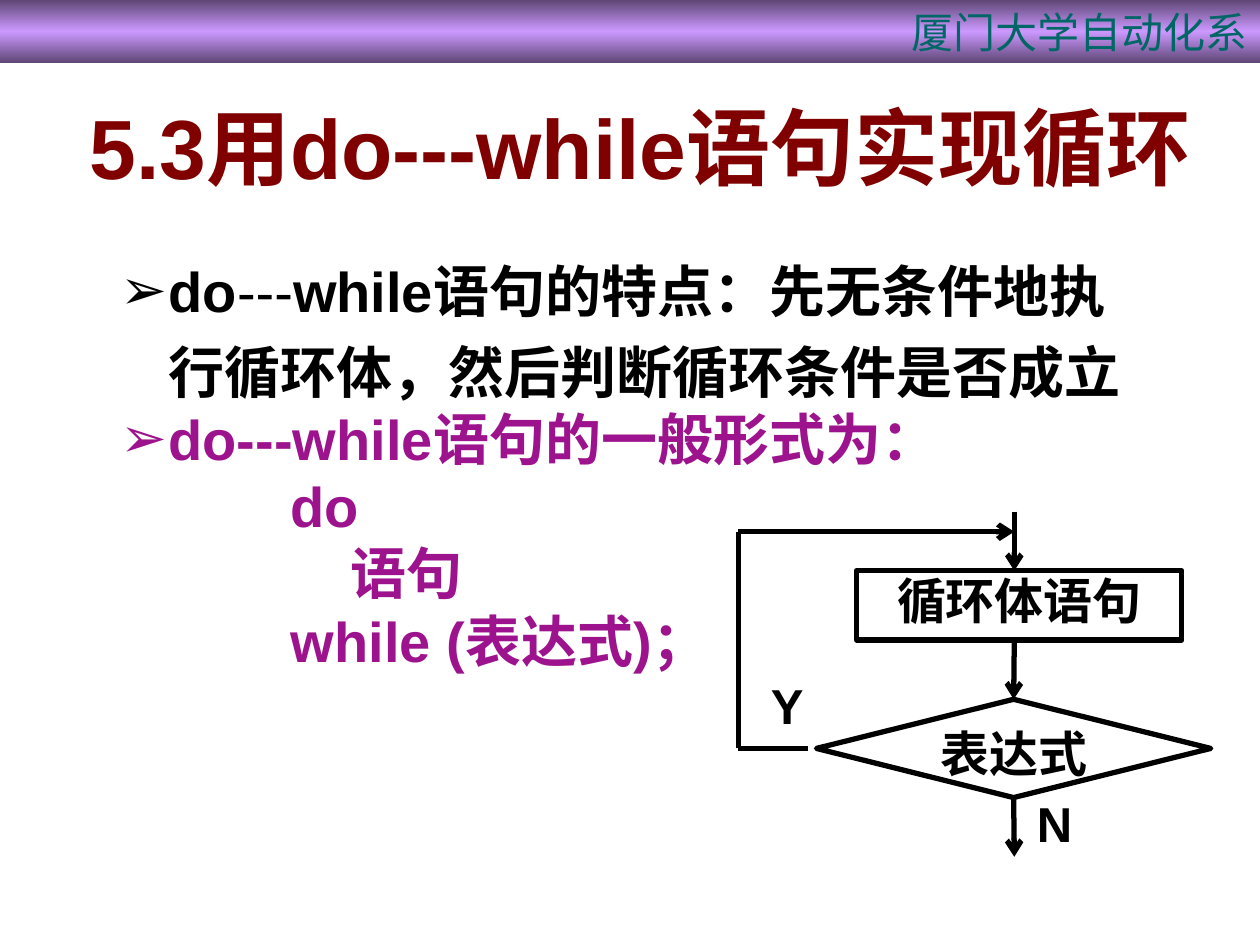
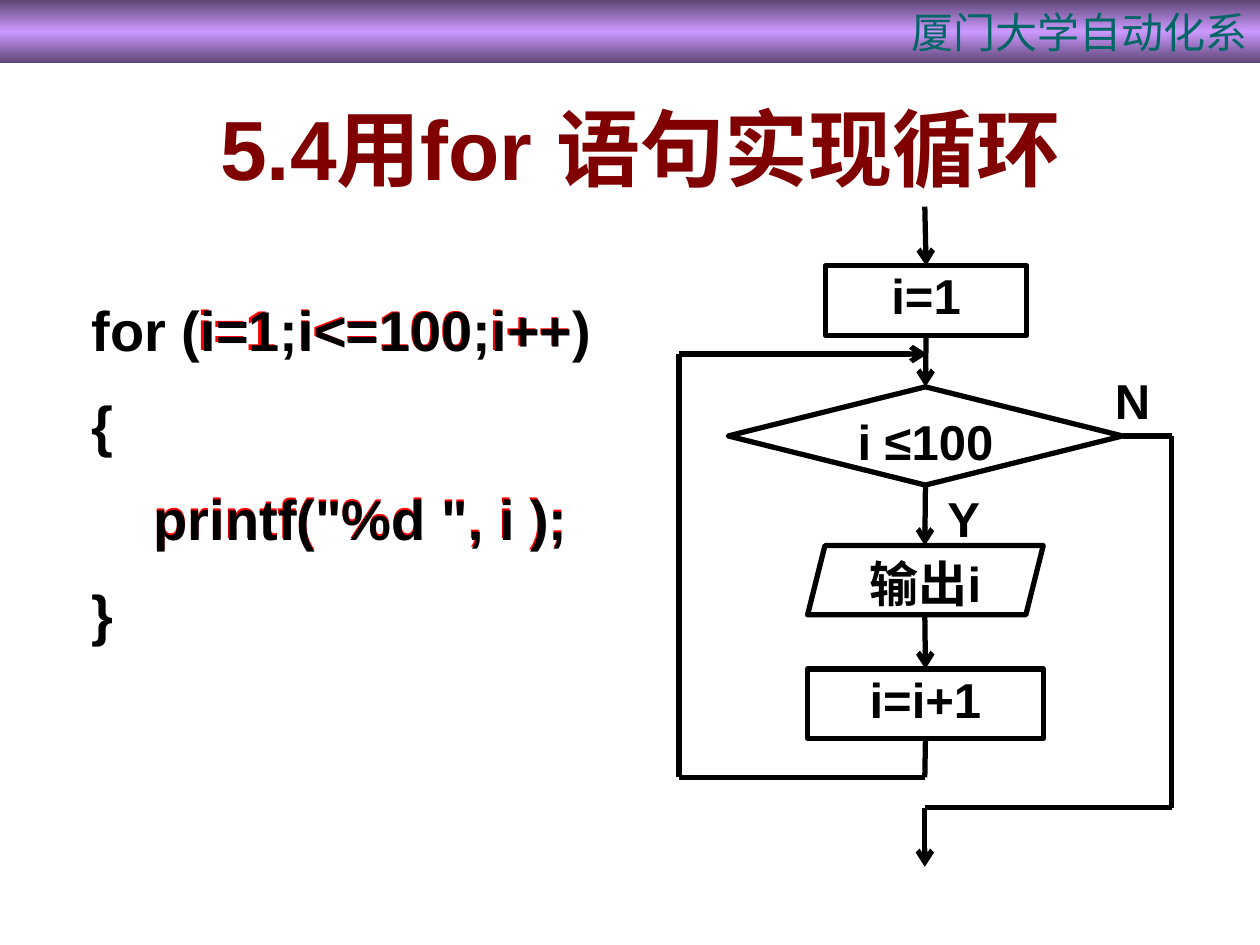
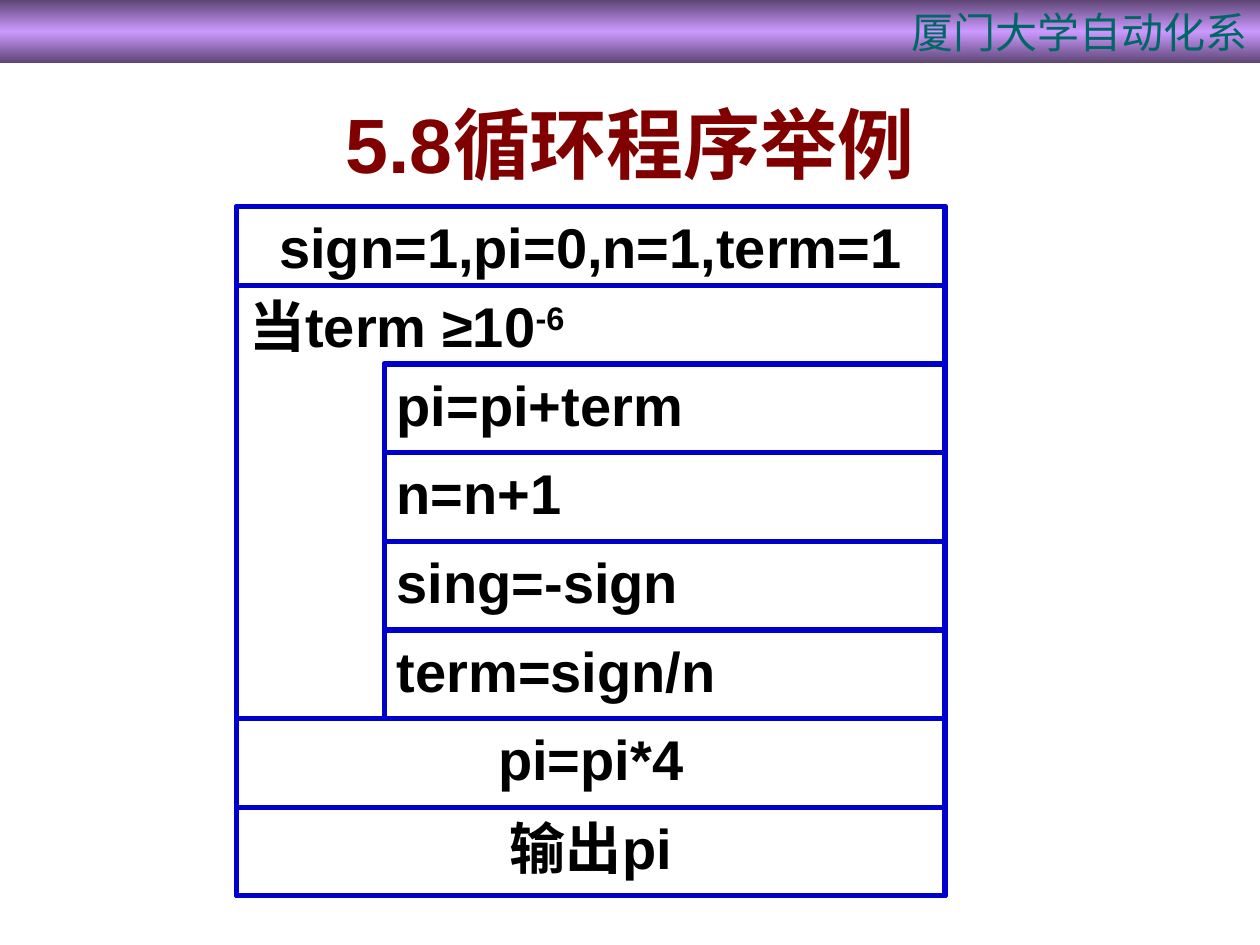
from copy import deepcopy
from lxml.etree import SubElement
from pptx import Presentation
from pptx.dml.color import RGBColor
from pptx.enum.shapes import MSO_CONNECTOR, MSO_SHAPE
from pptx.enum.text import MSO_ANCHOR, PP_ALIGN
from pptx.oxml.ns import qn
from pptx.util import Inches, Pt

FONT = "Arial"
BLACK, RED, PURPLE, BLUE, WHITE = "000000", "FF0000", "9D138D", "0000CC", "FFFFFF"
MAROON, TEAL, DARK, LILAC = "800000", "006666", "5E4675", "CC99FF"
BAND = "厦门大学自动化系"
KINDS = {
    "box": MSO_SHAPE.FLOWCHART_PROCESS,
    "test": MSO_SHAPE.FLOWCHART_DECISION,
    "data": MSO_SHAPE.PARALLELOGRAM,
    "rect": MSO_SHAPE.RECTANGLE,
}
ALIGN = {"l": PP_ALIGN.LEFT, "c": PP_ALIGN.CENTER, "r": PP_ALIGN.RIGHT}
CODE = {"size": 32, "lead": 1.2, "hang": 0.38}
FORM = {"size": 32, "color": PURPLE}

DO = {
    "title": ("5.3用do---while语句实现循环", (0.47, 0.31, 9.22, 1.7), 48),
    "texts": [
        ((0.86, 1.88, 8.44, 3.91), [
            ([("do", {}), ("---", {"bold": False}),
              ("while语句的特点：先无条件地执行循环体，然后判断循环条件是否成立", {})],
             {**CODE, "mark": "➢"}),
            ("do---while语句的一般形式为：", {**FORM, "hang": 0.38, "mark": "➢"}),
            ("do", {**FORM, "left": 1.35}),
            ("语句", {**FORM, "left": 1.82}),
            ("while (表达式)；", {**FORM, "left": 1.35}),
        ]),
        ((6.02, 5.31, 0.55, 0.57), [("Y", {})]),
        ((8.13, 6.25, 0.55, 0.57), [("N", {})]),
    ],
    "nodes": {
        "test": ("test", "表达式", (6.48, 5.55, 3.13, 0.78)),
        "body": ("box", "循环体语句", (6.8, 4.53, 2.58, 0.55)),
    },
    "lines": [
        ((8.05, 5.08), (8.05, 5.55), True, None, ("test", 0)),
        ((6.41, 5.94), (5.86, 5.94), False, None, None),
        ((8.05, 4.06), (8.05, 4.53), True, None, None),
        ((8.05, 6.33), (8.05, 6.8), True, ("test", 2), None),
        ((5.86, 5.94), (5.86, 4.22), False, None, None),
        ((5.86, 4.22), (8.05, 4.22), True, None, None),
    ],
}

FOR = {
    "title": ("5.4用for 语句实现循环", (0.47, 0.71, 9.22, 0.91), 48),
    "texts": [
        ((1.12, 3.67, 3.67, 0.78), [('printf("%d ", i );', {**CODE, "color": RED})]),
        ((3.79, 2.18, 1.02, 0.78), [("i++", {**CODE, "color": RED})]),
        ((2.26, 2.18, 1.8, 0.7), [("i<=100", {**CODE, "color": RED})]),
        ((1.47, 2.18, 1.02, 0.63), [("i=1", {**CODE, "color": RED})]),
        ((0.63, 2.19, 4.22, 3.13), [
            ("for (i=1;i<=100;i++)", CODE),
            ("{", {**CODE, "above": 8}),
            ('    printf("%d ", i );', {**CODE, "above": 8}),
            ("}", {**CODE, "above": 8}),
        ]),
        ((7.42, 3.83, 0.55, 0.57), [("Y", {})]),
        ((8.75, 2.89, 0.55, 0.57), [("N", {})]),
    ],
    "nodes": {
        "init": ("box", "i=1", (6.55, 2.11, 1.6, 0.55)),
        "test": ("test", "i ≤100", (5.78, 3.07, 3.13, 0.78)),
        "print": ("data", "输出i", (6.41, 4.33, 1.87, 0.55)),
        "step": ("box", "i=i+1", (6.41, 5.31, 1.87, 0.55)),
    },
    "lines": [
        ((7.34, 1.64), (7.34, 2.11), True, None, ("init", 0)),
        ((7.34, 2.66), (7.34, 3.07), True, ("init", 2), ("test", 0)),
        ((7.34, 3.85), (7.34, 4.33), True, ("test", 2), None),
        ((7.34, 4.88), (7.34, 5.31), True, None, ("step", 0)),
        ((7.34, 5.86), (7.34, 6.17), False, ("step", 2), None),
        ((7.34, 6.17), (5.39, 6.17), False, None, None),
        ((5.39, 6.17), (5.39, 2.81), False, None, None),
        ((5.39, 2.81), (7.36, 2.81), True, None, None),
        ((9.3, 3.46), (8.91, 3.46), False, None, ("test", 3)),
        ((9.3, 3.46), (9.3, 6.41), False, None, None),
        ((9.3, 6.41), (7.34, 6.41), False, None, None),
        ((7.34, 6.41), (7.34, 6.88), True, None, None),
    ],
}

SUM = {"title": ("5.8循环程序举例", (1.41, 0.71, 7.19, 0.84), 44)}
HEAD = "sign=1,pi=0,n=1,term=1"
WHILE = [("当term ≥10", {}), ("-6", {"base": 30000})]
LOOP = ["pi=pi+term", "n=n+1", "sing=-sign", "term=sign/n"]
TAIL = ["pi=pi*4", "输出pi"]


def rgb(code):
    return RGBColor.from_string(code)


def place(at):
    return [Inches(v) for v in at]


def style(run, fmt):
    font = run.font
    font.color.rgb = rgb(fmt.get("color", BLACK))
    for key, val in {"name": FONT, "size": Pt(fmt.get("size", 28)),
                     "bold": fmt.get("bold", True)}.items():
        setattr(font, key, val)
    props = run._r.get_or_add_rPr()
    props.find(qn("a:latin")).addnext(props.makeelement(qn("a:ea"), {"typeface": FONT}))
    if "base" in fmt:
        props.set("baseline", str(fmt["base"]))
    if fmt.get("shade"):
        glow = props.makeelement(qn("a:effectLst"), {})
        cast = SubElement(glow, qn("a:outerShdw"), dist="38100", dir="2700000")
        SubElement(cast, qn("a:srgbClr"), val="C0C0C0")
        props.find(qn("a:solidFill")).addnext(glow)


def write(shape, paras, wrap=True, pad=(0.1, 0.05), anchor=MSO_ANCHOR.TOP):
    frame = shape.text_frame
    side, top = place(pad)
    for key, val in {"word_wrap": wrap, "vertical_anchor": anchor, "margin_left": side,
                     "margin_right": side, "margin_top": top, "margin_bottom": top}.items():
        setattr(frame, key, val)
    for num, (runs, fmt) in enumerate(paras):
        para = frame.add_paragraph() if num else frame.paragraphs[0]
        hang = fmt.get("hang", 0)
        props = para._p.get_or_add_pPr()
        props.set("marL", str(Inches(fmt.get("left", hang))))
        props.set("indent", str(-Inches(hang)))
        if "mark" in fmt:
            tint = SubElement(props, qn("a:buClr"))
            SubElement(tint, qn("a:srgbClr"), val=fmt.get("color", BLACK))
            SubElement(props, qn("a:buFont"), typeface=FONT)
            SubElement(props, qn("a:buChar"), char=fmt["mark"])
        for key, val in {"alignment": ALIGN[fmt.get("align", "l")],
                         "line_spacing": fmt.get("lead", 1.0),
                         "space_before": Pt(fmt.get("above", 0))}.items():
            setattr(para, key, val)
        for text, more in [(runs, {})] if isinstance(runs, str) else runs:
            run = para.add_run()
            run.text = text
            style(run, {**fmt, **more})


def label(slide, at, paras, **opts):
    write(slide.shapes.add_textbox(*place(at)), paras, **opts)


def node(slide, kind, at, edge, runs="", fmt=None, pad=(0.1, 0.05)):
    shape = slide.shapes.add_shape(KINDS[kind], *place(at))
    shape.shadow.inherit = False
    shape.fill.solid()
    shape.fill.fore_color.rgb = rgb(WHITE)
    shape.line.color.rgb = rgb(edge)
    shape.line.width = Pt(3)
    if runs:
        write(shape, [(runs, fmt)], wrap=False, pad=pad)
    return shape


def link(slide, nodes, start, end, arrow, tie, goal):
    line = slide.shapes.add_connector(MSO_CONNECTOR.STRAIGHT, *place(start + end))
    if tie:
        line.begin_connect(nodes[tie[0]], tie[1])
    if goal:
        line.end_connect(nodes[goal[0]], goal[1])
    line.line.color.rgb = rgb(BLACK)
    line.line.width = Pt(3)
    if arrow:
        SubElement(line.line._get_or_add_ln(), qn("a:tailEnd"), type="arrow")
    SubElement(line._element.spPr, qn("a:effectLst"))


def band(slide):
    bar = slide.shapes.add_shape(KINDS["rect"], *place((0, 0, 10, 0.5)))
    bar.shadow.inherit = False
    bar.line.fill.background()
    bar.fill.gradient()
    bar.fill.gradient_angle = 90
    stops = bar._element.spPr.find(qn("a:gradFill")).find(qn("a:gsLst"))
    stops.append(deepcopy(stops[-1]))
    for stop, spot, code in zip(bar.fill.gradient_stops, (0, 0.5, 1), (DARK, LILAC, DARK)):
        stop.position = spot
        stop.color.rgb = rgb(code)
    write(bar, [(BAND, {"size": 24, "color": TEAL, "bold": False, "align": "r"})])


def start(deck, page):
    slide = deck.slides.add_slide(deck.slide_layouts[6])
    band(slide)
    text, at, size = page["title"]
    fmt = {"size": size, "color": MAROON, "align": "c", "shade": True}
    label(slide, at, [(text, fmt)], anchor=MSO_ANCHOR.MIDDLE)
    return slide


def flow(deck, page):
    slide = start(deck, page)
    for at, paras in page["texts"]:
        label(slide, at, paras)
    nodes = {name: node(slide, kind, at, BLACK, text, {"align": "c"}, (0, 0))
             for name, (kind, text, at) in page["nodes"].items()}
    for line in page["lines"]:
        link(slide, nodes, *line)


def chart(deck):
    slide = start(deck, SUM)
    left, inner, right = 1.88, 3.05, 7.5
    top, first, base = 1.64, 2.89, 7.11
    head = (first - top) / 2
    step = (base - first) / (len(LOOP) + len(TAIL))
    wide = right - left
    mid, side = {"size": 32, "align": "c"}, {"size": 32}
    node(slide, "box", (left, top, wide, base - top), BLUE)
    node(slide, "rect", (left, top, wide, head), BLUE, HEAD, mid)
    node(slide, "rect", (left, top + head, wide, head + step * len(LOOP)), BLUE, WHILE, side)
    node(slide, "box", (inner, first, right - inner, step * len(LOOP)), BLUE)
    for num, text in enumerate(LOOP + TAIL):
        x, fmt = (inner, side) if num < len(LOOP) else (left, mid)
        node(slide, "box", (x, first + num * step, right - x, step), BLUE, text, fmt)


def main():
    deck = Presentation()
    deck.slide_width, deck.slide_height = Inches(10), Inches(7.5)
    flow(deck, DO)
    flow(deck, FOR)
    chart(deck)
    deck.save("out.pptx")


if __name__ == "__main__":
    main()
